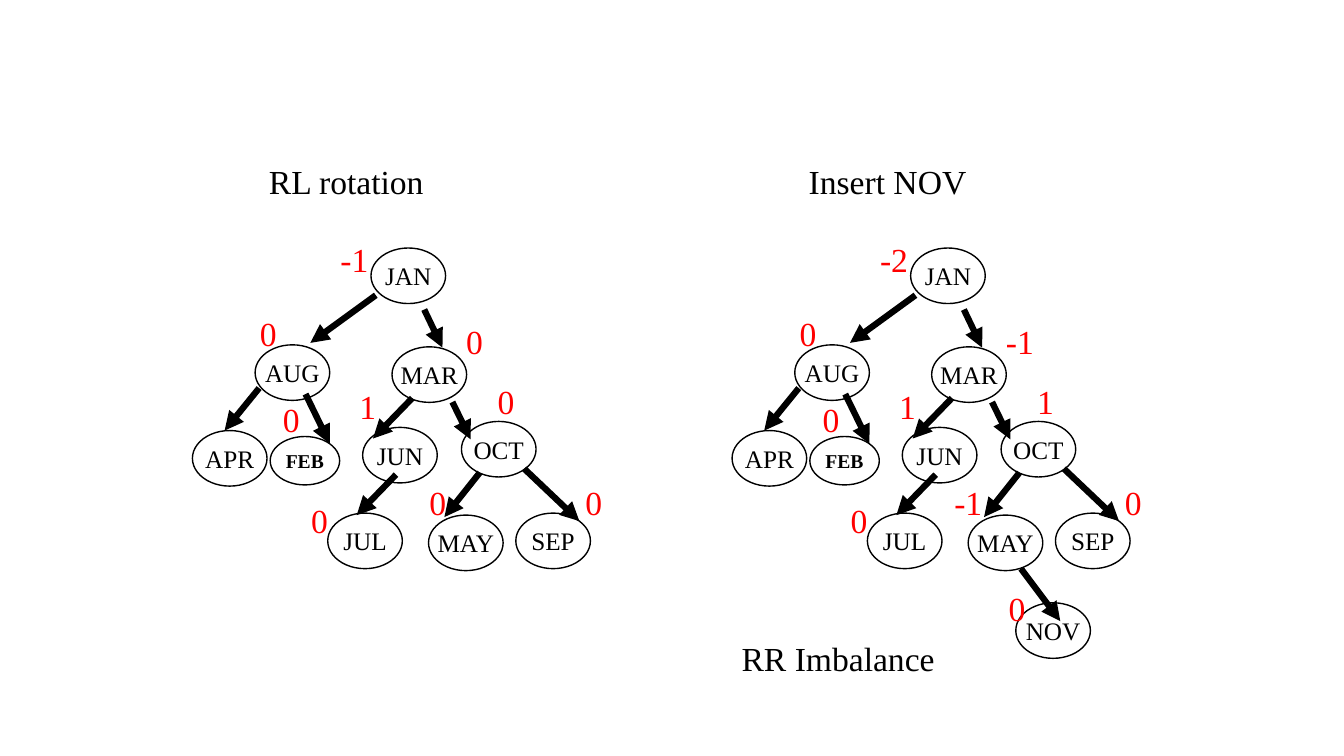
from dataclasses import dataclass
from typing import NamedTuple, Optional

from lxml import etree
from pptx import Presentation
from pptx.dml.color import RGBColor
from pptx.enum.shapes import MSO_CONNECTOR, MSO_SHAPE
from pptx.enum.text import MSO_ANCHOR, MSO_AUTO_SIZE, PP_ALIGN
from pptx.oxml.ns import qn
from pptx.slide import Slide
from pptx.text.text import TextFrame
from pptx.util import Cm, Pt

OVAL = MSO_SHAPE.OVAL
LINE = MSO_CONNECTOR.STRAIGHT
LEFT, CENTER = PP_ALIGN.LEFT, PP_ALIGN.CENTER
MIDDLE = MSO_ANCHOR.MIDDLE
GROW = MSO_AUTO_SIZE.SHAPE_TO_FIT_TEXT

BLACK = RGBColor(0x00, 0x00, 0x00)
WHITE = RGBColor(0xFF, 0xFF, 0xFF)
RED = RGBColor(0xFF, 0x00, 0x00)
FONT = "Times New Roman"
BOX_H = 1.3


class Edge(NamedTuple):
    x1: float
    y1: float
    x2: float
    y2: float


class Tag(NamedTuple):
    x: float
    y: float
    wide: float = 0.74


@dataclass(frozen=True)
class Node:
    name: str
    x: float
    y: float
    edge: Optional[Edge] = None
    tag: Optional[Tag] = None
    wide: float = 1.88
    high: float = 1.4
    size: int = 18
    bold: bool = False


@dataclass(frozen=True)
class Tree:
    title: str
    wide: float
    shift: float
    marks: dict[str, str]


NODES = [
    Node("JAN", 9.35, 6.25, None, Tag(8.33, 5.89, 1.5)),
    Node("AUG", 6.43, 8.69, Edge(9.47, 7.44, 7.82, 8.64), Tag(6.3, 7.75)),
    Node("MAR", 9.88, 8.74, Edge(10.69, 7.8, 11.15, 8.76), Tag(11.5, 7.95, 1.85)),
    Node("APR", 4.85, 10.85, Edge(6.53, 9.78, 5.66, 10.85)),
    Node("FEB", 6.81, 11.0, Edge(7.7, 9.93, 8.31, 11.18), Tag(6.88, 9.93),
         1.75, 1.22, 14, True),
    Node("JUN", 9.14, 10.77, Edge(10.39, 10.03, 9.4, 11.05), Tag(8.81, 9.6, 1.68)),
    Node("OCT", 11.63, 10.62, Edge(11.4, 10.13, 11.86, 11.07), Tag(12.29, 9.47, 1.68)),
    Node("JUL", 8.26, 12.93, Edge(9.98, 11.96, 8.99, 12.98), Tag(7.59, 12.47)),
    Node("MAY", 10.8, 12.98, Edge(12.09, 11.91, 11.2, 13.03), Tag(10.57, 12.01)),
    Node("SEP", 13.0, 12.93, Edge(13.21, 11.81, 14.6, 13.13), Tag(14.5, 12.01)),
]
NOV = Node("NOV", 12.0, 15.19, Edge(12.13, 14.33, 13.12, 15.65), Tag(11.57, 14.68))
MINUS = Tag(10.2, 12.01, 1.24)

SAME = {"AUG": "0", "FEB": "0", "JUN": "1", "JUL": "0", "SEP": "0"}
TREES = [
    Tree("RL rotation", 4.45, 0,
         SAME | {"JAN": "-1", "MAR": "0", "OCT": "0", "MAY": "0"}),
    Tree("Insert NOV", 4.52, 13.6,
         SAME | {"JAN": "-2", "MAR": "-1", "OCT": "1", "MAY": "-1", "NOV": "0"}),
]


def write(frame: TextFrame, text: str, size: int, color: RGBColor,
          align: PP_ALIGN = LEFT, bold: bool = False) -> None:
    par = frame.paragraphs[0]
    par.alignment = align
    run = par.add_run()
    run.text = text
    run.font.name = FONT
    run.font.size = Pt(size)
    run.font.bold = bold
    run.font.color.rgb = color


def add_label(slide: Slide, text: str, x: float, y: float, wide: float,
              color: RGBColor = BLACK, wrap: bool = True) -> None:
    frame = slide.shapes.add_textbox(Cm(x), Cm(y), Cm(wide), Cm(BOX_H)).text_frame
    frame.word_wrap = wrap
    frame.auto_size = GROW
    write(frame, text, 24, color)


def add_node(slide: Slide, node: Node, shift: float) -> None:
    oval = slide.shapes.add_shape(
        OVAL, Cm(node.x + shift), Cm(node.y), Cm(node.wide), Cm(node.high))
    oval.shadow.inherit = False
    oval.fill.solid()
    oval.fill.fore_color.rgb = WHITE
    oval.line.color.rgb = BLACK
    oval.line.width = Pt(1)
    frame = oval.text_frame
    frame.word_wrap = False
    frame.vertical_anchor = MIDDLE
    write(frame, node.name, node.size, BLACK, CENTER, node.bold)


def add_edge(slide: Slide, edge: Edge, shift: float) -> None:
    link = slide.shapes.add_connector(
        LINE, Cm(edge.x1 + shift), Cm(edge.y1), Cm(edge.x2 + shift), Cm(edge.y2))
    link.line.color.rgb = BLACK
    link.line.width = Pt(4.5)
    props = link.element.spPr
    etree.SubElement(props.find(qn("a:ln")), qn("a:tailEnd"), type="triangle")
    etree.SubElement(props, qn("a:effectLst"))


def add_tree(slide: Slide, tree: Tree) -> None:
    nodes = NODES + [NOV] if NOV.name in tree.marks else NODES
    add_label(slide, tree.title, 6.53 + tree.shift, 3.94, tree.wide, wrap=False)
    for node in nodes:
        add_node(slide, node, tree.shift)
    for node in nodes:
        if node.edge:
            add_edge(slide, node.edge, tree.shift)
    for node in nodes:
        if node.tag:
            mark = tree.marks[node.name]
            tag = MINUS if (node.name, mark) == ("MAY", "-1") else node.tag
            add_label(slide, mark, tag.x + tree.shift, tag.y, tag.wide, RED)


def main() -> None:
    deck = Presentation()
    deck.slide_width, deck.slide_height = Cm(33.87), Cm(19.05)
    slide = deck.slides.add_slide(deck.slide_layouts.get_by_name("Blank"))
    for tree in TREES:
        add_tree(slide, tree)
    add_label(slide, "RR Imbalance", 18.44, 15.95, 7.01)
    deck.save("out.pptx")


if __name__ == "__main__":
    main()
